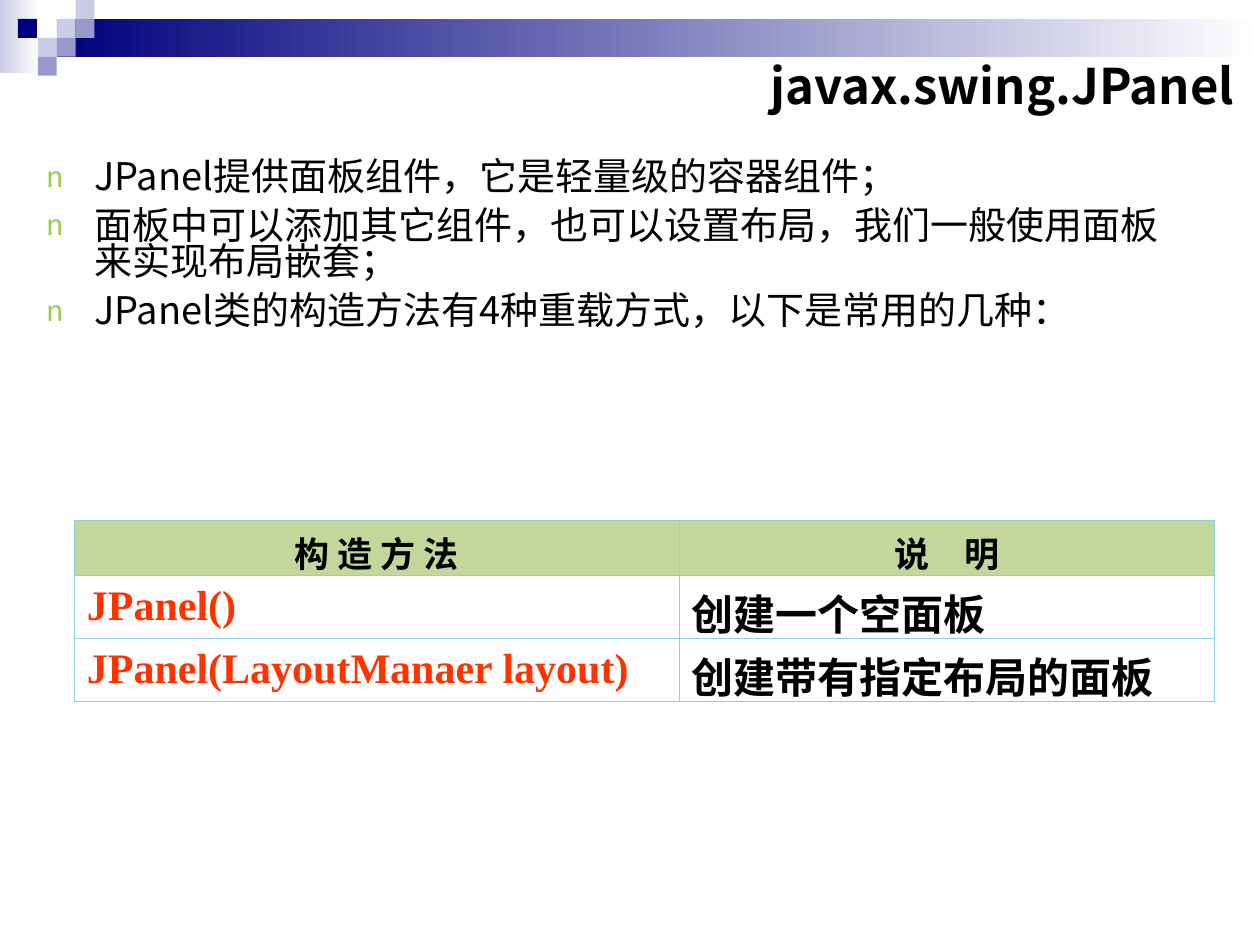
from typing import NamedTuple

from lxml import etree
from pptx import Presentation
from pptx.dml.color import RGBColor
from pptx.enum.shapes import MSO_SHAPE
from pptx.enum.text import MSO_ANCHOR, PP_ALIGN
from pptx.oxml.ns import qn
from pptx.util import Inches, Pt

RECT = MSO_SHAPE.RECTANGLE
MIDDLE, TOP = MSO_ANCHOR.MIDDLE, MSO_ANCHOR.TOP
LEFT, CENTER, RIGHT = PP_ALIGN.LEFT, PP_ALIGN.CENTER, PP_ALIGN.RIGHT

COLORS = {
    "navy": "00007D", "violet": "9999CC", "lilac": "CCCCE6", "white": "FFFFFF",
    "black": "000000", "bullet": "92D050", "header": "C3D69B",
    "border": "93CDDD", "code": "FF3300",
}
SANS, SERIF = "Noto Sans CJK SC", "Times New Roman"
UNIT = 0.15  # side of one mosaic square, in inches


class Block(NamedTuple):
    """Banner rectangle, measured in mosaic columns and rows."""
    column: float
    row: float
    color: str
    columns: float = 1
    rows: float = 1
    fades: bool = False


class Constructor(NamedTuple):
    signature: str
    meaning: str


BANNER = [
    Block(0, 0, "lilac", 2.07, 3.87, True),
    Block(3, 1, "navy", 63.67, 2, True),
    Block(3, 1, "lilac"),
    Block(4, 0, "lilac"),
    Block(4, 1, "violet"),
    Block(2, 2, "lilac"),
    Block(0.95, 1, "navy"),
    Block(3, 2, "violet"),
    Block(2, 3, "violet"),
]
POINTS = [
    "JPanel提供面板组件，它是轻量级的容器组件；",
    "面板中可以添加其它组件，也可以设置布局，我们一般使用面板来实现布局嵌套；",
    "JPanel类的构造方法有4种重载方式，以下是常用的几种：",
]
HEADINGS = ["构 造 方 法", "说　明"]
CONSTRUCTORS = [
    Constructor("JPanel()", "创建一个空面板"),
    Constructor("JPanel(LayoutManaer layout)", "创建带有指定布局的面板"),
]
COLUMN_WIDTHS = [4.8, 4.25]
ROW_HEIGHTS = [0.43, 0.5, 0.5]


def rgb(name: str) -> RGBColor:
    return RGBColor.from_string(COLORS[name])


def write(paragraph, text: str, *, size: float, font: str = SANS,
          color: str = "black", bold: bool = False, align=LEFT,
          before: float = 0) -> None:
    """Fill a paragraph with one formatted run."""
    paragraph.alignment = align
    paragraph.space_before = Pt(before)
    run = paragraph.add_run()
    run.text = text
    run.font.size, run.font.bold, run.font.name = Pt(size), bold, font
    run.font.color.rgb = rgb(color)
    etree.SubElement(run._r.get_or_add_rPr(), qn("a:ea"), typeface=SANS)


def add_frame(slide, left: float, top: float, width: float, height: float, anchor):
    box = slide.shapes.add_textbox(*map(Inches, (left, top, width, height)))
    frame = box.text_frame
    frame.word_wrap = True
    frame.vertical_anchor = anchor
    return frame


def draw_block(slide, block: Block) -> None:
    place = (block.column, block.row, block.columns, block.rows)
    square = slide.shapes.add_shape(RECT, *(Inches(n * UNIT) for n in place))
    square.shadow.inherit = False
    square.line.fill.background()
    if block.fades:
        square.fill.gradient()
        square.fill.gradient_angle = 0
        for stop, color in zip(square.fill.gradient_stops, (block.color, "white")):
            stop.color.rgb = rgb(color)
    else:
        square.fill.solid()
        square.fill.fore_color.rgb = rgb(block.color)


def add_bullet(paragraph) -> None:
    props = paragraph._p.get_or_add_pPr()
    props.set("marL", str(Inches(0.38)))
    props.set("indent", str(-Inches(0.38)))
    tint = etree.SubElement(props, qn("a:buClr"))
    etree.SubElement(tint, qn("a:srgbClr"), val=COLORS["bullet"])
    etree.SubElement(props, qn("a:buSzPct"), val="75000")
    etree.SubElement(props, qn("a:buFont"), typeface=SANS)
    etree.SubElement(props, qn("a:buChar"), char="n")


def add_borders(cell, outer_sides: set[str]) -> None:
    """Outline a cell, heavier on the outer sides of the table."""
    props = cell._tc.get_or_add_tcPr()
    for position, side in enumerate("LRTB"):
        weight = Pt(0.75 if side in outer_sides else 0.45)
        line = etree.Element(qn(f"a:ln{side}"), w=str(weight))
        fill = etree.SubElement(line, qn("a:solidFill"))
        etree.SubElement(fill, qn("a:srgbClr"), val=COLORS["border"])
        props.insert(position, line)


def draw_table(slide) -> None:
    rows = [HEADINGS, *CONSTRUCTORS]
    size = (sum(COLUMN_WIDTHS), sum(ROW_HEIGHTS))
    table = slide.shapes.add_table(len(rows), len(HEADINGS), Inches(0.59),
                                   Inches(4.13), *map(Inches, size)).table
    for column, width in zip(table.columns, COLUMN_WIDTHS):
        column.width = Inches(width)
    for r, texts in enumerate(rows):
        table.rows[r].height = Inches(ROW_HEIGHTS[r])
        for c, text in enumerate(texts):
            cell = table.cell(r, c)
            cell.vertical_anchor = MIDDLE
            cell.fill.solid()
            cell.fill.fore_color.rgb = rgb("white" if r else "header")
            edges = {"L": c == 0, "R": c == len(texts) - 1,
                     "T": r == 0, "B": r == len(rows) - 1}
            add_borders(cell, {side for side, outer in edges.items() if outer})
            paragraph = cell.text_frame.paragraphs[0]
            if r == 0:
                write(paragraph, text, size=20, bold=True, align=CENTER, before=5)
            else:
                write(paragraph, text, size=24, font=SERIF, bold=True, before=6,
                      color="black" if c else "code")


def main() -> None:
    deck = Presentation()
    deck.slide_width, deck.slide_height = Inches(10), Inches(7.5)
    slide = deck.slides.add_slide(deck.slide_layouts[6])

    # Banner mosaic
    for block in BANNER:
        draw_block(slide, block)

    # Title
    title = add_frame(slide, 5.63, 0.36, 4.26, 0.63, MIDDLE)
    write(title.paragraphs[0], "javax.swing.JPanel", size=28, bold=True, align=RIGHT)

    # Bullet points
    body = add_frame(slide, 0.27, 1.23, 9.21, 1.97, TOP)
    for index, point in enumerate(POINTS):
        paragraph = body.add_paragraph() if index else body.paragraphs[0]
        paragraph.line_spacing = 0.8
        write(paragraph, point, size=21.7, before=7)
        add_bullet(paragraph)

    # Constructor table
    draw_table(slide)
    deck.save("out.pptx")


if __name__ == "__main__":
    main()
